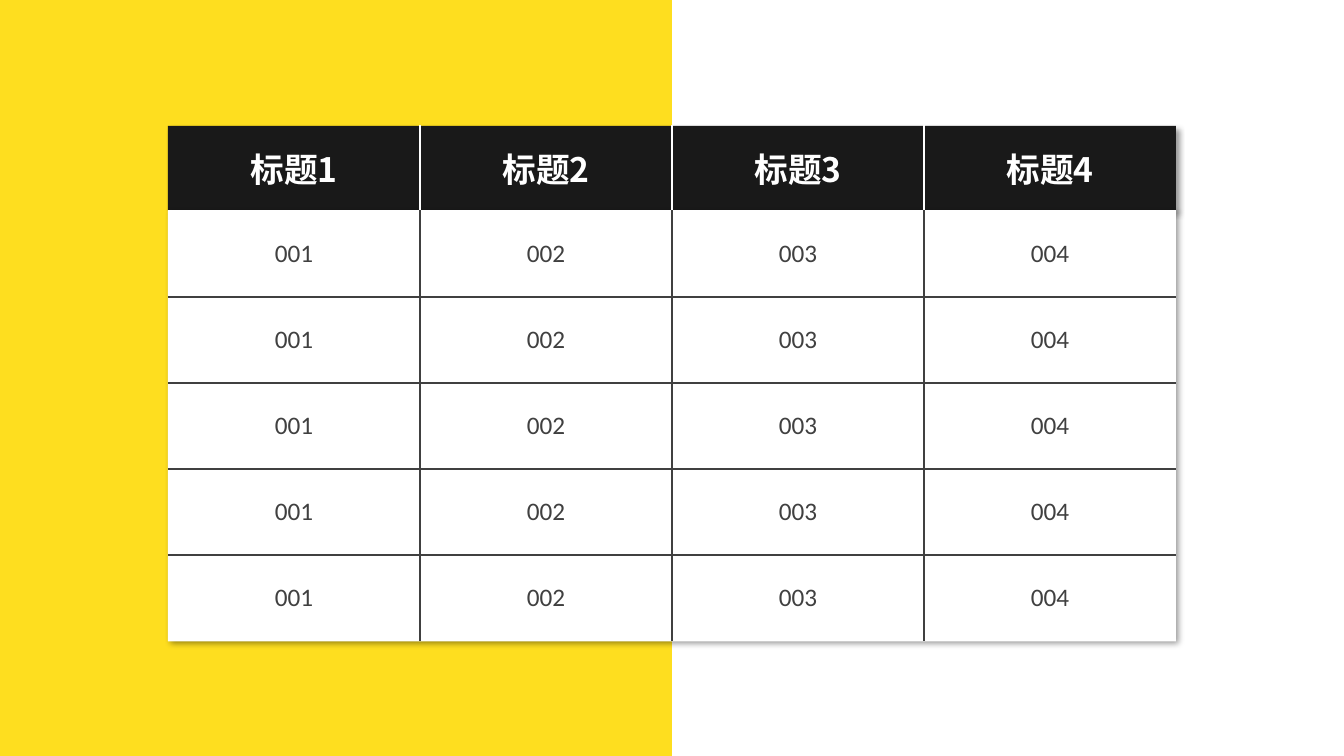
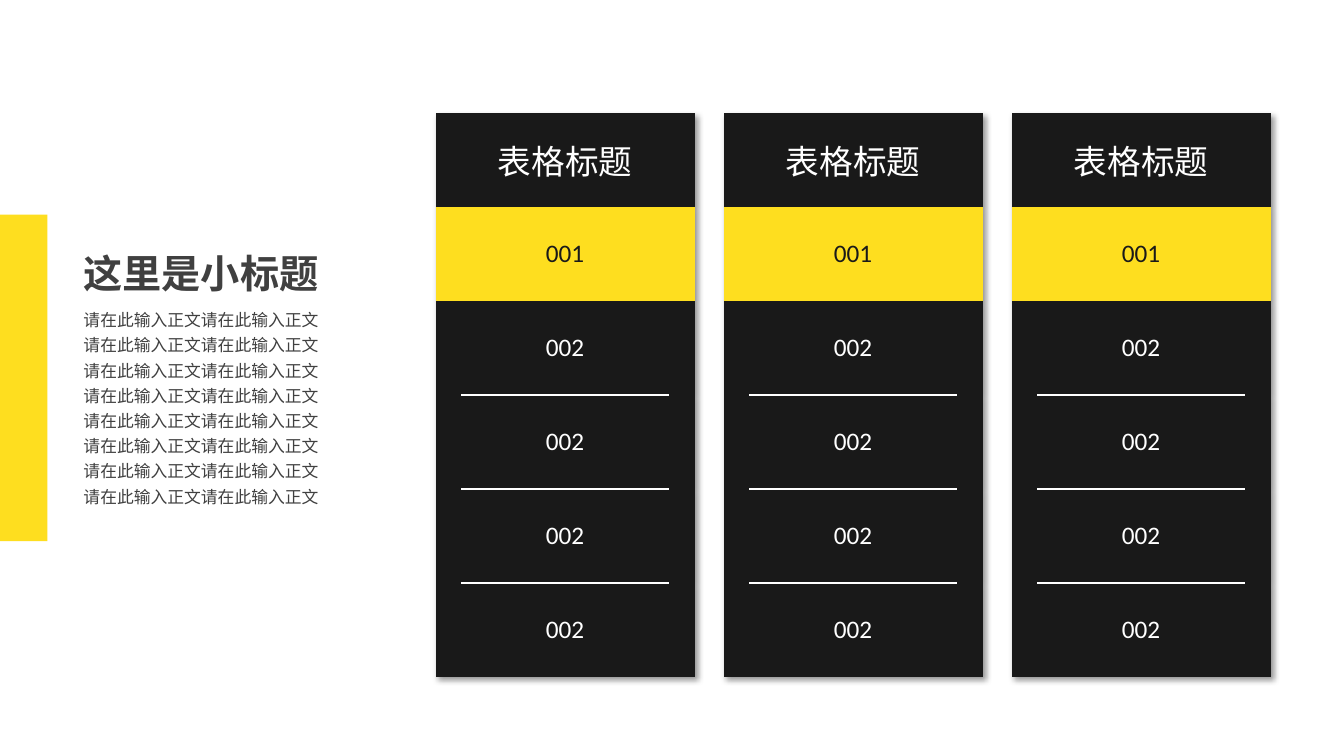
from lxml.etree import SubElement
from pptx import Presentation
from pptx.dml.color import RGBColor
from pptx.enum.shapes import MSO_CONNECTOR, MSO_SHAPE
from pptx.enum.text import MSO_ANCHOR, MSO_AUTO_SIZE, PP_ALIGN
from pptx.oxml import parse_xml
from pptx.oxml.ns import nsdecls, qn
from pptx.util import Inches, Pt

# Content
GRID = [[f"标题{n}" for n in range(1, 5)]] + [["001", "002", "003", "004"]] * 5
LISTS = [["表格标题", "001"] + ["002"] * 4] * 3
TITLE = "这里是小标题"
BODY = ["请在此输入正文请在此输入正文"] * 8

# Look
YELLOW = RGBColor(0xFE, 0xDE, 0x1F)
BLACK = RGBColor(0x19, 0x19, 0x19)
GRAY = RGBColor(0x40, 0x40, 0x40)
WHITE = RGBColor(0xFF, 0xFF, 0xFF)
CJK, LATIN = "Noto Sans CJK SC", "Calibri"
HEAD = {"name": CJK, "size": Pt(24), "bold": True}
LABEL = {**HEAD, "bold": False}
CELL = {"name": LATIN, "size": Pt(18), "bold": False}
LEAD = {"name": CJK, "size": Pt(28), "bold": True}
TEXT = {"name": CJK, "size": Pt(12), "bold": False}
PLAIN = "{2D5ABB26-0587-4C30-8999-92F81FD0307C}"  # table style without lines
W, H = 13.33, 7.5


def write(para, text, style, color):
    run = para.add_run()
    run.text = text
    for key, value in style.items():
        setattr(run.font, key, value)
    run.font.color.rgb = color
    if style["name"] == CJK:
        SubElement(run.font._element, qn("a:ea"), typeface=CJK)


def shade():
    return parse_xml(
        f'<a:effectLst {nsdecls("a")}><a:outerShdw blurRad="{Pt(4)}" '
        f'dist="{Pt(3)}" dir="2700000" algn="tl" rotWithShape="0">'
        '<a:srgbClr val="000000"><a:alpha val="40000"/></a:srgbClr>'
        '</a:outerShdw></a:effectLst>')


def panel(slide, box, color, raised=False):
    shape = slide.shapes.add_shape(MSO_SHAPE.RECTANGLE, *map(Inches, box))
    shape.fill.solid()
    shape.fill.fore_color.rgb = color
    shape.line.fill.background()
    shape.shadow.inherit = False
    if raised:
        props = shape._element.spPr
        props.replace(props.find(qn("a:effectLst")), shade())


def edge(cell, side, color):
    line = SubElement(cell._tc.get_or_add_tcPr(), qn(f"a:ln{side}"), w=str(Pt(1)))
    fill = SubElement(line, qn("a:solidFill"))
    SubElement(fill, qn("a:srgbClr"), val=str(color))


def table(slide, rows, box):
    frame = slide.shapes.add_table(len(rows), len(rows[0]), *map(Inches, box))
    grid = frame.table
    grid.first_row = grid.horz_banding = False
    grid._tbl.tblPr.find(qn("a:tableStyleId")).text = PLAIN
    return grid


def fill_cell(cell, text, style, color):
    cell.vertical_anchor = MSO_ANCHOR.MIDDLE
    para = cell.text_frame.paragraphs[0]
    para.alignment = PP_ALIGN.CENTER
    write(para, text, style, color)


def grid_slide(slide):
    left, top, wide, tall = W / 8, H / 6, W * 3 / 4, 5.12
    band = H / 9
    panel(slide, (0, 0, W / 2, H), YELLOW)
    panel(slide, (left, top, wide, 0.84), BLACK, True)
    panel(slide, (left, top + band, wide, 4.28), WHITE, True)

    grid = table(slide, GRID, (left, top - 0.01, wide, tall))
    last_row, last_col = len(GRID) - 1, len(GRID[0]) - 1
    for r, row in enumerate(GRID):
        for c, text in enumerate(row):
            cell = grid.cell(r, c)
            tone = GRAY if r else WHITE
            # Inner borders only; the heading's are white
            sides = (("L", c > 0, tone), ("R", c < last_col, tone),
                     ("T", r > 0, GRAY if r > 1 else WHITE),
                     ("B", r < last_row, tone))
            for side, inner, color in sides:
                if inner:
                    edge(cell, side, color)
            cell.fill.background()
            fill_cell(cell, text, CELL if r else HEAD, tone)


def list_slide(slide):
    # Side text
    panel(slide, (0, 2.13, 0.47, 3.24), YELLOW)
    box = slide.shapes.add_textbox(*map(Inches, (0.73, 2.42, 2.83, 2.66)))
    frame = box.text_frame
    frame.word_wrap = True
    frame.auto_size = MSO_AUTO_SIZE.SHAPE_TO_FIT_TEXT
    frame.vertical_anchor = MSO_ANCHOR.MIDDLE
    para = frame.paragraphs[0]
    para.space_after = Pt(6)
    write(para, TITLE, LEAD, GRAY)
    for text in BODY:
        para = frame.add_paragraph()
        para.line_spacing = 1.25
        write(para, text, TEXT, GRAY)

    # One-column tables
    top, wide, tall = H * 0.15, 2.57, 5.59
    step = W * 3 / 14
    lefts = [4.32 + step * n for n in range(len(LISTS))]
    for left, items in zip(lefts, LISTS):
        grid = table(slide, [[text] for text in items], (left, top, wide, tall))
        grid._tbl.tblPr.insert(0, shade())
        for r, text in enumerate(items):
            cell = grid.cell(r, 0)
            cell.fill.solid()
            cell.fill.fore_color.rgb = YELLOW if r == 1 else BLACK
            fill_cell(cell, text, CELL if r else LABEL, BLACK if r == 1 else WHITE)

    # Rules between the lower rows
    for left, items in zip(lefts, LISTS):
        for r in range(3, len(items)):
            y = top + tall * r / len(items)
            ends = left + wide * 0.1, y, left + wide * 0.9, y
            rule = slide.shapes.add_connector(MSO_CONNECTOR.STRAIGHT, *map(Inches, ends))
            rule.line.color.rgb = WHITE
            rule.line.width = Pt(1)
            SubElement(rule._element.spPr, qn("a:effectLst"))


def main():
    deck = Presentation()
    deck.slide_width, deck.slide_height = Inches(W), Inches(H)
    for build in (grid_slide, list_slide):
        build(deck.slides.add_slide(deck.slide_layouts[6]))
    deck.save("out.pptx")


if __name__ == "__main__":
    main()
